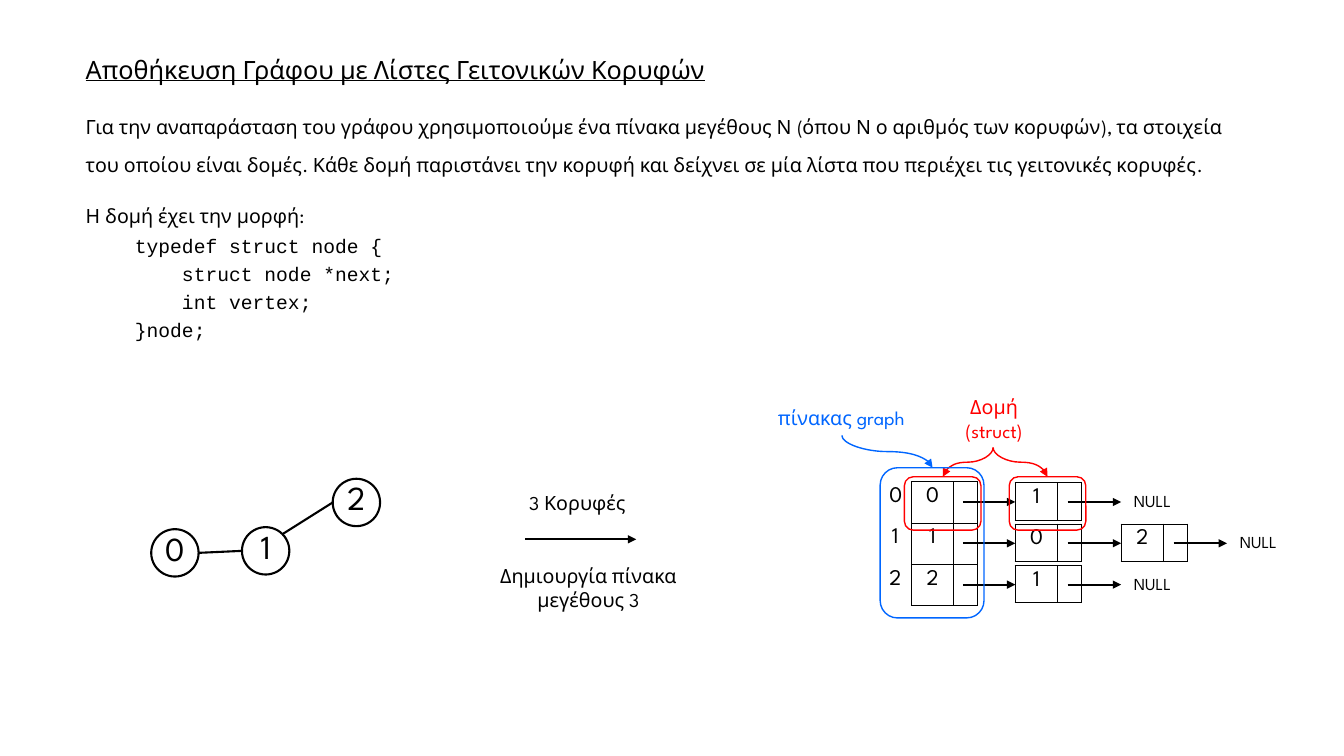
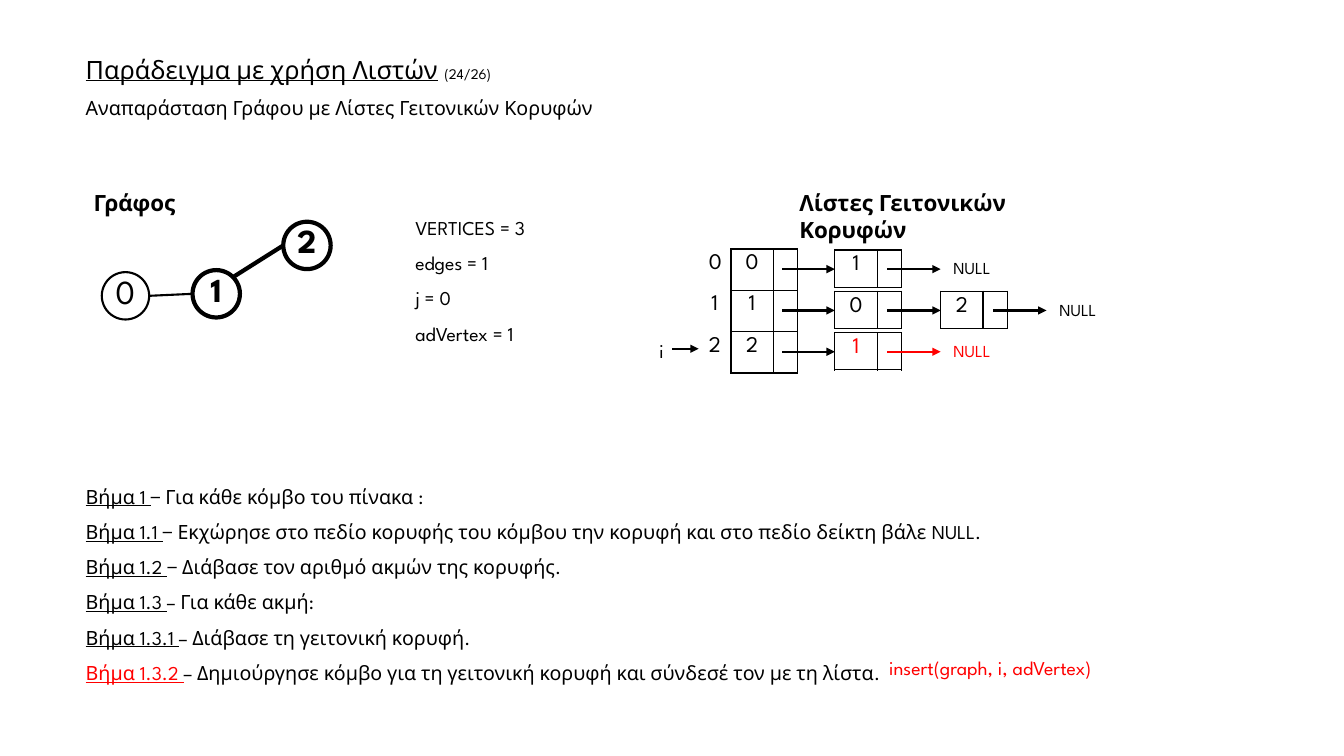
from lxml import etree
from pptx import Presentation
from pptx.dml.color import RGBColor
from pptx.enum import shapes, text
from pptx.oxml import ns
from pptx.util import Inches, Pt

COLORS = {"ink": "000000", "red": "FF0000", "blue": "0066FF"}
FONT = "League Spartan"
CODE_FONT = "Courier New"
LEFT = 0.75
CONTENT_WIDTH = 11.83

NODE_SIZE = 0.47
ROW_HEIGHT = 0.41
INDEX_WIDTH, VALUE_WIDTH, POINTER_WIDTH = 0.32, 0.42, 0.23
LIST_START = 1.35
LIST_PITCH = 1.05
POINTER_OFFSET = 0.52


def rgb(color):
    return RGBColor.from_string(COLORS[color])


def sub_element(parent, tag, **attributes):
    return etree.SubElement(parent, ns.qn(tag), attributes)


def box_lengths(*values):
    return [Inches(value) for value in values]


def write(frame, paragraphs, size=14, color="ink", font=FONT, bold=False,
          align=text.PP_ALIGN.LEFT, spacing=1.0, before=0):
    """Fill a text frame; each paragraph is a list of (text, overrides) runs or a string."""
    frame.word_wrap = True
    for index, runs in enumerate(paragraphs):
        paragraph = frame.paragraphs[0] if index == 0 else frame.add_paragraph()
        paragraph.alignment = align
        paragraph.line_spacing = spacing
        paragraph.space_before = Pt(before if index else 0)
        for content, style in [(runs, {})] if isinstance(runs, str) else runs:
            run = paragraph.add_run()
            run.text = content
            run.font.name = font
            run.font.size = Pt(style.get("size", size))
            run.font.bold = bold
            run.font.underline = style.get("underline", False)
            run.font.color.rgb = rgb(style.get("color", color))


def add_label(slide, box, paragraphs, **style):
    label = slide.shapes.add_textbox(*box_lengths(*box))
    write(label.text_frame, paragraphs, **style)


def fill_placeholder(placeholder, box, paragraphs, **style):
    placeholder.left, placeholder.top, placeholder.width, placeholder.height = box_lengths(*box)
    frame = placeholder.text_frame
    frame.auto_size = text.MSO_AUTO_SIZE.NONE
    frame.vertical_anchor = text.MSO_ANCHOR.TOP
    write(frame, paragraphs, **style)
    for paragraph in frame.paragraphs:
        properties = paragraph._p.get_or_add_pPr()
        properties.set("marL", "0")
        properties.set("indent", "0")
        sub_element(properties, "a:buNone")


def add_content_slide(presentation, title_runs, body_box, body, **body_style):
    slide = presentation.slides.add_slide(presentation.slide_layouts[1])
    fill_placeholder(slide.shapes.title, (LEFT, 0.52, CONTENT_WIDTH, 0.42),
                     [title_runs], size=18, spacing=0.9)
    fill_placeholder(slide.placeholders[1], body_box, body, **body_style)
    return slide


def add_line(slide, start, end, color="ink", width=1.5, arrow=False,
             kind=shapes.MSO_CONNECTOR.STRAIGHT):
    connector = slide.shapes.add_connector(kind, *box_lengths(*start, *end))
    connector.line.color.rgb = rgb(color)
    connector.line.width = Pt(width)
    if arrow:
        sub_element(connector.line._get_or_add_ln(), "a:tailEnd", type="triangle")
    sub_element(connector._element.spPr, "a:effectLst")
    return connector


def add_drop_curve(slide, start, end, color):
    """Curved arrow that leaves downwards and arrives from above."""
    (x1, y1), (x2, y2) = start, end
    middle_x, middle_y = (x1 + x2) / 2, (y1 + y2) / 2
    half_drop, half_run = (y2 - y1) / 2, abs(x2 - x1) / 2
    connector = add_line(slide, (middle_x - half_drop, middle_y - half_run),
                         (middle_x + half_drop, middle_y + half_run),
                         color, 1, True, shapes.MSO_CONNECTOR.CURVE)
    transform = connector._element.spPr.xfrm
    if x2 > x1:
        transform.set("rot", "16200000")
        transform.set("flipH", "1")
    else:
        transform.set("rot", "5400000")


def add_outline(slide, preset, box, color, width):
    shape = slide.shapes.add_shape(preset, *box_lengths(*box))
    shape.shadow.inherit = False
    shape.fill.background()
    shape.line.color.rgb = rgb(color)
    shape.line.width = Pt(width)
    return shape


def add_frame(slide, box, color):
    add_outline(slide, shapes.MSO_SHAPE.ROUNDED_RECTANGLE, box, color, 1)


def add_graph(slide, left, top, active=()):
    """Three vertices joined 0-1-2; active ones are bold, with bold edges between them."""
    centers = [(left, top + 0.5), (left + 0.9, top + 0.48), (left + 1.8, top)]
    for vertex, (x, y) in enumerate(centers):
        bold = vertex in active
        circle = add_outline(slide, shapes.MSO_SHAPE.OVAL, (x, y, NODE_SIZE, NODE_SIZE),
                             "ink", 3 if bold else 1.5)
        frame = circle.text_frame
        frame.margin_left = frame.margin_right = frame.margin_top = 0
        frame.margin_bottom = Inches(0.1)
        frame.vertical_anchor = text.MSO_ANCHOR.MIDDLE
        write(frame, [str(vertex)], size=24, bold=bold, align=text.PP_ALIGN.CENTER)
    half = NODE_SIZE / 2
    (x0, y0), (x1, y1), (x2, y2) = centers
    add_line(slide, (x0 + NODE_SIZE, y0 + half), (x1, y1 + half))
    add_line(slide, (x1 + 0.85 * NODE_SIZE, y1 + 0.15 * NODE_SIZE), (x2, y2 + half),
             width=3 if {1, 2} <= set(active) else 1.5)


def set_borders(cell, sides):
    properties = cell._tc.get_or_add_tcPr()
    for position, side in enumerate("LRTB"):
        line = etree.Element(ns.qn(f"a:ln{side}"), w=str(Pt(1)))
        if side in sides:
            fill = sub_element(line, "a:solidFill")
            sub_element(fill, "a:srgbClr", val=COLORS["ink"])
        else:
            sub_element(line, "a:noFill")
        properties.insert(position, line)


def add_cells(slide, left, top, widths, height, rows, color="ink", open_columns=0):
    """Table of values; the first open_columns have only a right border."""
    size = box_lengths(left, top, sum(widths), height * len(rows))
    table = slide.shapes.add_table(len(rows), len(widths), *size).table
    table.first_row = table.horz_banding = False
    for column, width in zip(table.columns, widths):
        column.width = Inches(width)
    for row_index, values in enumerate(rows):
        table.rows[row_index].height = Inches(height)
        for column_index, value in enumerate(values):
            cell = table.cell(row_index, column_index)
            cell.fill.background()
            set_borders(cell, "R" if column_index < open_columns else "LRTB")
            if value:
                write(cell.text_frame, [value], size=16, color=color,
                      align=text.PP_ALIGN.CENTER)
            else:
                cell.margin_top = cell.margin_bottom = 0


def add_adjacency_lists(slide, left, top, neighbours, red_row=None):
    vertices = [str(vertex) for vertex in range(len(neighbours))]
    add_cells(slide, left, top, (INDEX_WIDTH, VALUE_WIDTH, POINTER_WIDTH), ROW_HEIGHT,
              [(vertex, vertex, "") for vertex in vertices], open_columns=1)
    for row, values in enumerate(neighbours):
        color = "red" if row == red_row else "ink"
        row_top = top + row * ROW_HEIGHT
        arrow_y = row_top + 0.2
        x = left + LIST_START
        add_line(slide, (x - POINTER_OFFSET, arrow_y), (x, arrow_y), arrow=True)
        for value in values:
            add_cells(slide, x, row_top + 0.01, (VALUE_WIDTH, POINTER_WIDTH), 0.37,
                      [(value, "")], color)
            add_line(slide, (x + POINTER_OFFSET, arrow_y), (x + LIST_PITCH, arrow_y),
                     color, arrow=True)
            x += LIST_PITCH
        add_label(slide, (x, row_top + 0.04, 0.62, 0.3), ["NULL"], size=12, color=color,
                  align=text.PP_ALIGN.CENTER)


def add_struct_callouts(slide, left, top):
    """Mark the graph array in blue and two of its structs in red."""
    center = text.PP_ALIGN.CENTER
    add_label(slide, (left + 0.51, top - 0.91, 1.26, 0.57), ["Δομή (struct)"],
              color="red", align=center)
    for x in (left + 0.25, left + 1.29):
        add_frame(slide, (x, top - 0.05, 0.76, 0.53), "red")
        add_drop_curve(slide, (left + 1.13, top - 0.34), (x + 0.38, top - 0.05), "red")
    add_label(slide, (left - 1.26, top - 0.8, 1.77, 0.34), ["πίνακας graph"],
              color="blue", align=center)
    add_frame(slide, (left + 0.01, top - 0.14, 1.03, 1.49), "blue")
    add_drop_curve(slide, (left - 0.37, top - 0.46), (left + 0.53, top - 0.14), "blue")


def add_creation_step(slide, left, top):
    add_label(slide, (left + 0.31, top, 1.37, 0.41), ["3 Κορυφές"], spacing=1.5)
    add_line(slide, (left + 0.37, top + 0.65), (left + 1.47, top + 0.65), arrow=True)
    add_label(slide, (left, top + 0.85, 1.99, 0.57), ["Δημιουργία πίνακα μεγέθους 3"],
              align=text.PP_ALIGN.CENTER)


def build_storage_slide(presentation, neighbours):
    slide = add_content_slide(
        presentation,
        [("Αποθήκευση Γράφου με Λίστες Γειτονικών Κορυφών", {"underline": True})],
        (LEFT, 0.95, CONTENT_WIDTH, 1.4),
        ["Για την αναπαράσταση του γράφου χρησιμοποιούμε ένα πίνακα μεγέθους Ν "
         "(όπου Ν ο αριθμός των κορυφών), τα στοιχεία του οποίου είναι δομές. "
         "Κάθε δομή παριστάνει την κορυφή και δείχνει σε μία λίστα που περιέχει "
         "τις γειτονικές κορυφές.",
         "Η δομή έχει την μορφή:"],
        spacing=1.6, before=10)
    add_label(slide, (1.24, 2.22, 2.8, 1.22),
              ["typedef struct node {", "    struct node *next;", "    int vertex;", "}node;"],
              font=CODE_FONT, spacing=1.2)
    add_graph(slide, 1.5, 4.75)
    add_creation_step(slide, 4.84, 4.7)
    lists_corner = (8.72, 4.78)
    add_adjacency_lists(slide, *lists_corner, neighbours)
    add_struct_callouts(slide, *lists_corner)


def build_example_slide(presentation, neighbours):
    steps = [
        ("Βήμα 1 ", "− Για κάθε κόμβο του πίνακα :"),
        ("Βήμα 1.1 ", "− Εκχώρησε στο πεδίο κορυφής του κόμβου την κορυφή "
                      "και στο πεδίο δείκτη βάλε NULL."),
        ("Βήμα 1.2 ", "− Διάβασε τον αριθμό ακμών της κορυφής."),
        ("Βήμα 1.3 ", "– Για κάθε ακμή:"),
        ("Βήμα 1.3.1 ", "– Διάβασε τη γειτονική κορυφή."),
        ("Βήμα 1.3.2 ", "– Δημιούργησε κόμβο για τη γειτονική κορυφή "
                        "και σύνδεσέ τον με τη λίστα."),
    ]
    current_step = "Βήμα 1.3.2 "
    step_runs = [[(name, {"underline": True,
                          "color": "red" if name == current_step else "ink"}),
                  (action, {})] for name, action in steps]
    slide = add_content_slide(
        presentation,
        [("Παράδειγμα με χρήση Λιστών", {"underline": True}), (" ", {}),
         ("(24/26)", {"size": 10.5})],
        (LEFT, 4.64, 12.35, 2.18), step_runs, spacing=1.5)
    add_label(slide, (LEFT, 0.93, CONTENT_WIDTH, 0.4),
              ["Αναπαράσταση Γράφου με Λίστες Γειτονικών Κορυφών"], spacing=0.9)
    add_label(slide, (0.83, 1.83, 1.08, 0.37), ["Γράφος"], size=16, bold=True)
    add_graph(slide, 1.01, 2.2, active=(1, 2))
    add_label(slide, (4.02, 2.12, 2.22, 1.53),
              ["VERTICES = 3", "edges = 1", "j = 0", "adVertex = 1"],
              spacing=0.9, before=10)
    add_label(slide, (7.83, 1.83, 3.25, 0.37), ["Λίστες Γειτονικών Κορυφών"],
              size=16, bold=True)
    left, top = 6.93, 2.47
    add_adjacency_lists(slide, left, top, neighbours, red_row=2)
    add_label(slide, (left - 0.49, top + 0.84, 0.25, 0.34), ["i"])
    add_line(slide, (left - 0.26, top + 0.99), (left, top + 0.99), arrow=True)
    add_label(slide, (8.72, 6.48, 3.53, 0.39), ["insert(graph, i, adVertex)"],
              color="red", spacing=0.9)


def main():
    presentation = Presentation()
    presentation.slide_width, presentation.slide_height = box_lengths(13.33, 7.5)
    neighbours = [["1"], ["0", "2"], ["1"]]
    build_storage_slide(presentation, neighbours)
    build_example_slide(presentation, neighbours)
    presentation.save("out.pptx")


if __name__ == "__main__":
    main()
